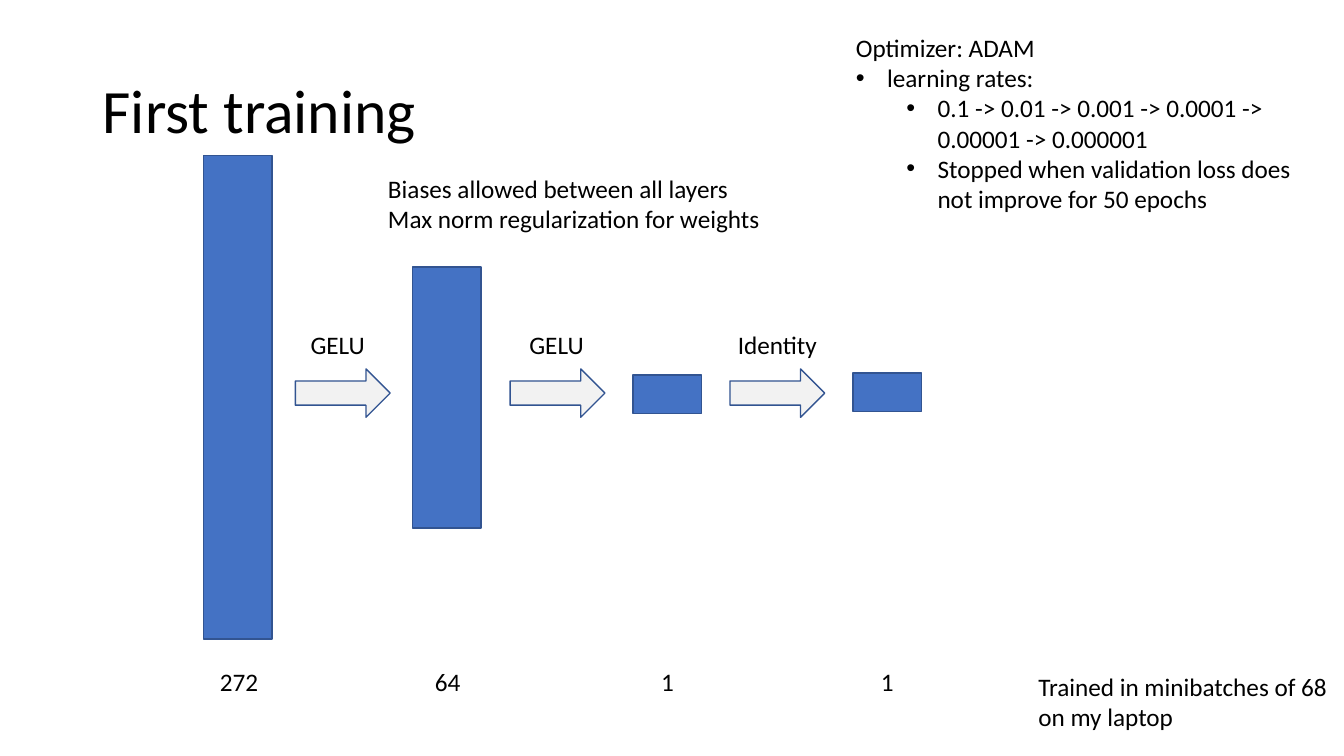
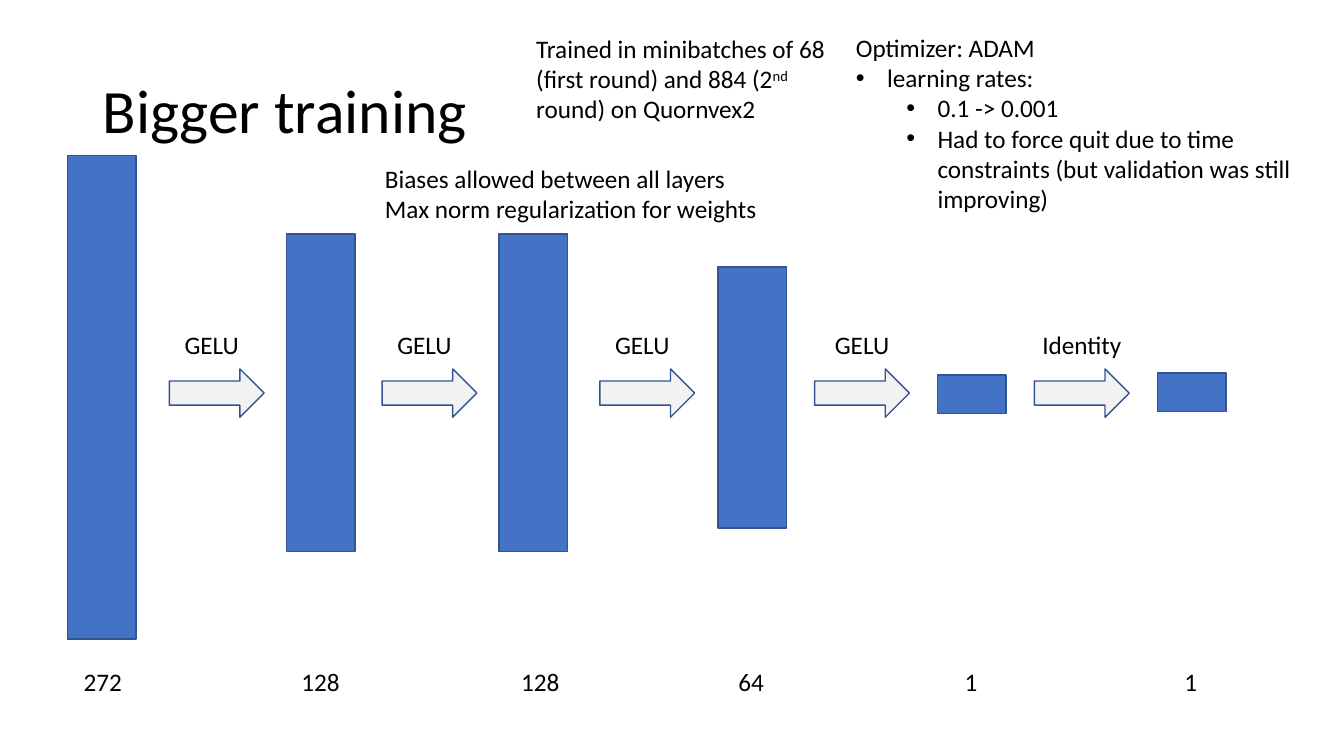
"""Build two slides that compare the networks of the first and the bigger training."""
from lxml import etree
from pptx import Presentation
from pptx.dml.color import RGBColor
from pptx.enum.shapes import MSO_SHAPE
from pptx.enum.text import MSO_ANCHOR, MSO_AUTO_SIZE, PP_ALIGN
from pptx.oxml.ns import qn
from pptx.util import Inches, Pt

RECTANGLE, ARROW = MSO_SHAPE.RECTANGLE, MSO_SHAPE.RIGHT_ARROW
LEFT, CENTER = PP_ALIGN.LEFT, PP_ALIGN.CENTER
MIDDLE = MSO_ANCHOR.MIDDLE
GROW, FIXED = MSO_AUTO_SIZE.SHAPE_TO_FIT_TEXT, MSO_AUTO_SIZE.NONE

FONT = "Calibri"
BLACK = RGBColor(0x00, 0x00, 0x00)
BLUE = RGBColor(0x44, 0x72, 0xC4)
DARK_BLUE = RGBColor(0x32, 0x54, 0x91)
PALE_GRAY = RGBColor(0xF2, 0xF2, 0xF2)

LAYER_WIDTH = 0.68
LAYER_HEIGHTS = {272: 4.8, 128: 3.15, 64: 2.59, 1: 0.38}
BULLET_MARGINS = {1: 0.31, 2: 0.81}
LABEL_WIDTHS = {"GELU": 0.94, "Identity": 1.04}
REGULARIZATION = ["Biases allowed between all layers", "Max norm regularization for weights"]

SLIDES = [
    {
        "title": "First training",
        "layers": [(272, 2.02, 1.54, 1.54), (64, 4.09, 2.65, 3.61),
                   (1, 6.28, 3.72, 5.79), (1, 8.46, 3.7, 7.97)],
        "activations": [("GELU", 2.93, 2.88), ("GELU", 5.06, 5.05), ("Identity", 7.24, 7.19)],
        "rates": "0.1 -> 0.01 -> 0.001 -> 0.0001 -> 0.00001 -> 0.000001",
        "stop": "Stopped when validation loss does not improve for 50 epochs",
        "regularization_at": (3.75, 1.67),
        "batches_at": (10.2, 6.61, 3.08, 0.71),
        "batches": [("Trained in minibatches of 68 on my laptop", False)],
    },
    {
        "title": "Bigger training",
        "layers": [(272, 0.67, 1.54, 0.19), (128, 2.84, 2.32, 2.35), (128, 4.95, 2.32, 4.53),
                   (64, 7.12, 2.65, 6.62), (1, 9.3, 3.72, 8.8), (1, 11.48, 3.7, 10.98)],
        "activations": [("GELU", 1.68, 1.63), ("GELU", 3.79, 3.74), ("GELU", 5.95, 5.9),
                        ("GELU", 8.08, 8.08), ("Identity", 10.26, 10.21)],
        "rates": "0.1 -> 0.001",
        "stop": "Had to force quit due to time constraints (but validation was still improving)",
        "regularization_at": (3.72, 1.57),
        "batches_at": (5.22, 0.28, 3.08, 1.01),
        "batches": [("Trained in minibatches of 68 (first round) and 884 (2", False),
                    ("nd", True), (" round) on Quornvex2", False)],
    },
]


def add_text(page, place, lines, size=18, align=LEFT):
    """Add a wrapping text box with one paragraph per line and return it."""
    box = page.shapes.add_textbox(*map(Inches, place))
    frame = box.text_frame
    frame.word_wrap = True
    frame.auto_size = GROW
    frame.text = "\n".join(lines)
    for para in frame.paragraphs:
        para.alignment = align
        para.font.name = FONT
        para.font.size = Pt(size)
        para.font.color.rgb = BLACK
    return box


def add_block(page, kind, place, fill):
    """Add an outlined shape without shadow."""
    block = page.shapes.add_shape(kind, *map(Inches, place))
    block.shadow.inherit = False
    block.fill.solid()
    block.fill.fore_color.rgb = fill
    block.line.color.rgb = DARK_BLUE
    block.line.width = Pt(1)


deck = Presentation()
deck.slide_width = Inches(13.33)
deck.slide_height = Inches(7.5)

for content in SLIDES:
    page = deck.slides.add_slide(deck.slide_layouts[6])

    title = add_text(page, (0.92, 0.4, 11.5, 1.45), [content["title"]], size=44)
    title.text_frame.auto_size = FIXED
    title.text_frame.vertical_anchor = MIDDLE
    title.text_frame.paragraphs[0].line_spacing = 0.9

    for units, left, top, label_left in content["layers"]:
        add_block(page, RECTANGLE, (left, top, LAYER_WIDTH, LAYER_HEIGHTS[units]), BLUE)
        add_text(page, (label_left, 6.56, 1.66, 0.4), [str(units)], align=CENTER)

    for name, left, label_left in content["activations"]:
        add_block(page, ARROW, (left, 3.66, 0.94, 0.48), PALE_GRAY)
        add_text(page, (label_left, 3.22, LABEL_WIDTHS[name], 0.4), [name], align=CENTER)

    optimizer = add_text(page, (8.39, 0.27, 4.72, 1.92),
                         ["Optimizer: ADAM", "learning rates:", content["rates"], content["stop"]])
    for para, depth in zip(optimizer.text_frame.paragraphs[1:], (1, 2, 2)):
        para.level = depth - 1
        properties = para._p.get_or_add_pPr()
        properties.set("marL", str(Inches(BULLET_MARGINS[depth])))
        properties.set("indent", str(-Inches(0.31)))
        bullet_font = etree.Element(qn("a:buFont"), typeface="Arial")
        bullet = etree.Element(qn("a:buChar"), char="•")
        defaults = properties.find(qn("a:defRPr"))
        defaults.addprevious(bullet_font)
        defaults.addprevious(bullet)

    add_text(page, (*content["regularization_at"], 3.96, 0.71), REGULARIZATION)

    batches = add_text(page, content["batches_at"], [""])
    for words, raised in content["batches"]:
        span = batches.text_frame.paragraphs[0].add_run()
        span.text = words
        if raised:
            span.font._element.set("baseline", "30000")

deck.save("out.pptx")
